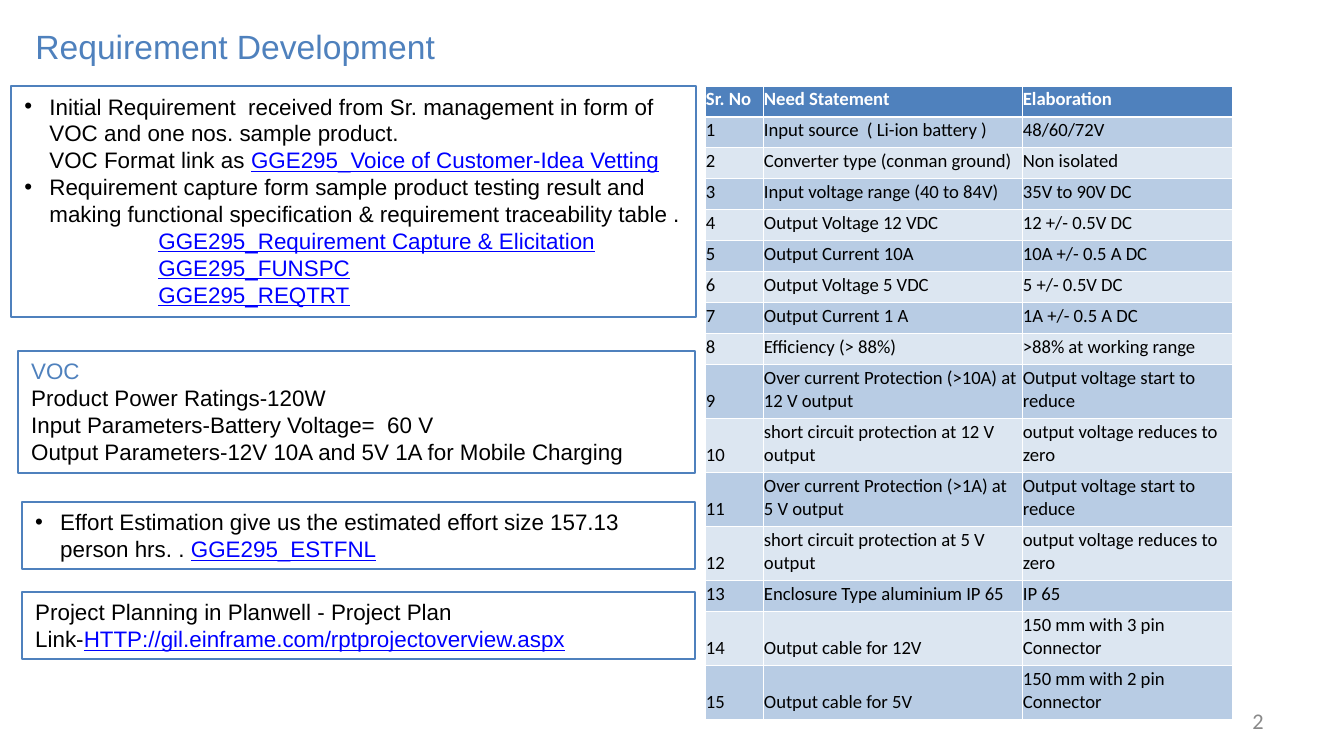
from lxml.etree import SubElement
from pptx import Presentation
from pptx.dml.color import RGBColor
from pptx.enum.shapes import MSO_SHAPE
from pptx.enum.text import MSO_ANCHOR, MSO_AUTO_SIZE, PP_ALIGN
from pptx.oxml.ns import qn
from pptx.util import Emu, Pt

BLUE = RGBColor(0x4F, 0x81, 0xBD)
LINK = RGBColor(0x00, 0x00, 0xFF)
BLACK = RGBColor(0x00, 0x00, 0x00)
WHITE = RGBColor(0xFF, 0xFF, 0xFF)
GRAY = RGBColor(0x89, 0x89, 0x89)
BANDS = [RGBColor(0xB8, 0xCC, 0xE4), RGBColor(0xDC, 0xE6, 0xF1)]

# Content: each paragraph is (kind, [(text, colour), ...])
TITLE = "Requirement Development"
PAGE_NUMBER = "2"
REQUIREMENTS = [
    ("bullet", [("Initial Requirement  received from Sr. management in form of VOC "
                 "and one nos. sample product.", BLACK)]),
    ("under bullet", [("VOC Format link as ", BLACK),
                      ("GGE295_Voice of Customer-Idea Vetting", LINK)]),
    ("bullet", [("Requirement capture form sample product testing result and making "
                 "functional specification & requirement traceability table .", BLACK)]),
    ("indented", [("GGE295_Requirement Capture & Elicitation", LINK)]),
    ("indented", [("GGE295_FUNSPC", LINK)]),
    ("indented", [("GGE295_REQTRT", LINK)]),
]
VOC = [
    ("plain", [("VOC", BLUE)]),
    ("plain", [("Product Power Ratings-120W", BLACK)]),
    ("plain", [("Input Parameters-Battery Voltage=  60 V", BLACK)]),
    ("plain", [("Output Parameters-12V 10A and 5V 1A for Mobile Charging", BLACK)]),
]
EFFORT = [
    ("bullet", [("Effort Estimation give us the estimated effort size 157.13 "
                 "person hrs. . ", BLACK), ("GGE295_ESTFNL", LINK)]),
]
PLANNING = [
    ("plain", [("Project Planning in Planwell - Project Plan Link-", BLACK),
               ("HTTP://gil.einframe.com/rptprojectoverview.aspx", LINK)]),
]
HEADER = ("Sr. No", "Need Statement", "Elaboration")
NEEDS = [
    ("Input source  ( Li-ion battery )", "48/60/72V"),
    ("Converter type (conman ground)", "Non isolated"),
    ("Input voltage range (40 to 84V)", "35V to 90V DC"),
    ("Output Voltage 12 VDC", "12 +/- 0.5V DC"),
    ("Output Current 10A", "10A +/- 0.5 A DC"),
    ("Output Voltage 5 VDC", "5 +/- 0.5V DC"),
    ("Output Current 1 A", "1A +/- 0.5 A DC"),
    ("Efficiency (> 88%)", ">88% at working range"),
    ("Over current Protection (>10A) at 12 V output", "Output voltage start to reduce"),
    ("short circuit protection at 12 V output", "output voltage reduces to zero"),
    ("Over current Protection (>1A) at 5 V output", "Output voltage start to reduce"),
    ("short circuit protection at 5 V output", "output voltage reduces to zero"),
    ("Enclosure Type aluminium IP 65", "IP 65"),
    ("Output cable for 12V", "150 mm with 3 pin Connector"),
    ("Output cable for 5V", "150 mm with 2 pin Connector"),
]
TWO_LINE_ROWS = {9, 10, 11, 12, 14, 15}
COLUMN_WIDTHS = (58, 259, 210)
ROW_HEIGHT, TALL_ROW_HEIGHT = 31, 54

# Left margin and first-line indent in px
INDENTS = {"plain": (0, 0), "bullet": (25, -25), "under bullet": (25, 0),
           "indented": (134, 0)}


def px(value):
    return Emu(round(value * 914400 / 134.4))


def place(shape, left, top, width, height):
    shape.left, shape.top = px(left), px(top)
    shape.width, shape.height = px(width), px(height)


def write(frame, paragraphs, *, size=12, font="Arial", bold=False,
          align=PP_ALIGN.LEFT, anchor=MSO_ANCHOR.TOP, wrap=True):
    frame.word_wrap = wrap
    frame.auto_size = MSO_AUTO_SIZE.NONE
    frame.vertical_anchor = anchor
    for index, (kind, spans) in enumerate(paragraphs):
        para = frame.add_paragraph() if index else frame.paragraphs[0]
        para.alignment = align
        para.space_before = Pt(0)
        margin, indent = INDENTS[kind]
        properties = para._p.get_or_add_pPr()
        properties.set("marL", str(px(margin)))
        properties.set("indent", str(px(indent)))
        if kind == "bullet":
            SubElement(properties, qn("a:buFont"), typeface="Arial")
            SubElement(properties, qn("a:buChar"), char="•")
        else:
            SubElement(properties, qn("a:buNone"))
        for text, color in spans:
            span = para.add_run()
            span.text = text
            span.font.size, span.font.name = Pt(size), font
            span.font.bold = bold
            span.font.underline = color == LINK
            span.font.color.rgb = color


def outline(box):
    box.fill.background()
    box.line.color.rgb = BLUE
    box.line.width = Pt(0.75)


def add_border(cell, side, width):
    line = SubElement(cell._tc.get_or_add_tcPr(), qn("a:" + side), w=str(Pt(width)))
    fill = SubElement(line, qn("a:solidFill"))
    SubElement(fill, qn("a:srgbClr"), val=str(WHITE))


deck = Presentation()
deck.slide_width, deck.slide_height = px(1344), px(756)
page = deck.slides.add_slide(deck.slide_layouts[1])

# Title
title = page.shapes.title
place(title, 22, 19, 449, 54)
write(title.text_frame, [("plain", [(TITLE, BLUE)])], size=18, wrap=False)

# Requirement list
body = page.placeholders[1]
place(body, 11, 86, 685, 231)
outline(body)
write(body.text_frame, REQUIREMENTS)

# Framed boxes
for paragraphs, area in [(EFFORT, (22, 502, 673, 67)),
                         (PLANNING, (22, 592, 673, 67)),
                         (VOC, (18, 351, 677, 122))]:
    box = page.shapes.add_shape(MSO_SHAPE.RECTANGLE, *map(px, area))
    box.shadow.inherit = False
    outline(box)
    write(box.text_frame, paragraphs)

# Needs table
rows = [HEADER] + [(str(number), *need) for number, need in enumerate(NEEDS, 1)]
heights = [TALL_ROW_HEIGHT if number in TWO_LINE_ROWS else ROW_HEIGHT
           for number in range(len(rows))]
table = page.shapes.add_table(len(rows), len(HEADER), px(705), px(86),
                              px(sum(COLUMN_WIDTHS)), px(sum(heights))).table
table.horz_banding = False
for column, width in zip(table.columns, COLUMN_WIDTHS):
    column.width = px(width)
for number, (texts, height) in enumerate(zip(rows, heights)):
    table.rows[number].height = px(height)
    is_header = number == 0
    for column, text in enumerate(texts):
        cell = table.cell(number, column)
        cell.margin_left = cell.margin_top = px(1)
        cell.margin_right = px(3)
        cell.margin_bottom = px(6)
        for side, width in [("lnL", 0.5), ("lnR", 0.5),
                            ("lnT", 1.5 if number == 1 else 0.5),
                            ("lnB", 1.5 if is_header else 0.5)]:
            add_border(cell, side, width)
        cell.fill.solid()
        cell.fill.fore_color.rgb = BLUE if is_header else BANDS[(number - 1) % 2]
        write(cell.text_frame, [("plain", [(text, WHITE if is_header else BLACK)])],
              size=10, font="Calibri", bold=is_header)
        cell.vertical_anchor = MSO_ANCHOR.BOTTOM

# Page number
footer = page.shapes.add_textbox(px(964), px(701), px(313), px(40))
write(footer.text_frame, [("plain", [(PAGE_NUMBER, GRAY)])], font="Calibri",
      align=PP_ALIGN.RIGHT, anchor=MSO_ANCHOR.MIDDLE)

deck.save("out.pptx")
